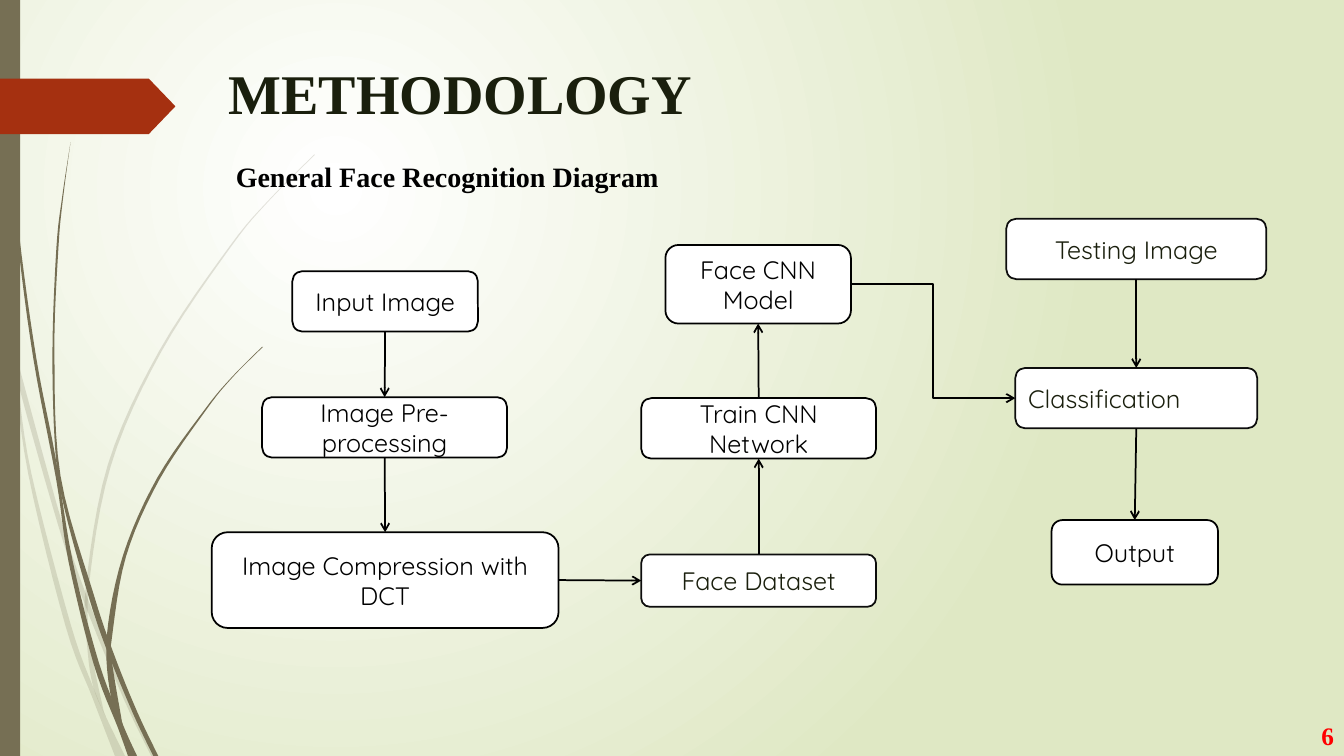
from dataclasses import dataclass

from lxml.etree import SubElement
from pptx import Presentation
from pptx.dml.color import RGBColor
from pptx.enum.shapes import MSO_CONNECTOR as CONN, MSO_SHAPE as SHAPE
from pptx.enum.text import MSO_ANCHOR as ANCHOR, PP_ALIGN as ALIGN
from pptx.oxml.ns import qn
from pptx.util import Inches, Pt


@dataclass(frozen=True)
class Theme:
    """Colours, fonts and sizes of the slide."""
    white: str = "FFFFFF"
    pale: str = "DFE8C4"
    olive: str = "766F54"
    rust: str = "A53010"
    black: str = "000000"
    soft: str = "0D0D0D"
    ink: str = "1A1F0D"
    red: str = "FF0000"
    serif: str = "Times New Roman"
    sans: str = "Quicksand"
    title: int = 40
    heading: int = 20
    body: int = 18
    line: float = 1.25


TOP, LEFT, BOTTOM, RIGHT = range(4)  # connection sites of a box

# Each grass blade: outer edge going down, inner edge coming back up.
LIGHT_BLADES = [
    ([(0, 2.99), (0.11, 3.5), (0.28, 4.7), (0.65, 6.21), (0.92, 6.93), (1.14, 7.5)],
     [(1.24, 7.5), (1.05, 7.11), (0.93, 6.83), (0.7, 6.19), (0.31, 4.69),
      (0.17, 3.76), (0.09, 3.22), (0, 2.82)]),
    ([(0.14, 3.45), (0.17, 3.76), (0.58, 5.22), (0.84, 5.99), (1.23, 6.94), (1.5, 7.5)],
     [(1.55, 7.5), (1.27, 6.92), (0.92, 6.07), (0.62, 5.2), (0.14, 3.45)]),
    ([(3.12, 1.53), (2.68, 1.97), (2.28, 2.44), (1.58, 3.48), (1.07, 4.61),
      (0.85, 5.84), (0.87, 6.46), (0.93, 6.83), (1.05, 7.11)],
     [(1.03, 7.06), (0.91, 6.46), (0.88, 5.84), (1.1, 4.62), (1.6, 3.49),
      (2.29, 2.45), (2.68, 1.98), (3.12, 1.54)]),
]
DARK_BLADES = [
    ([(0.03, 0), (0.07, 1.1), (0.17, 2.33), (0.33, 3.55), (0.56, 4.77),
      (0.68, 5.57), (0.93, 6.59), (1.17, 7.22), (1.27, 7.5)],
     [(1.36, 7.5), (1.22, 7.19), (0.98, 6.57), (0.72, 5.56), (0.55, 4.53),
      (0.36, 3.55), (0.19, 2.32), (0.08, 1.09), (0.04, 0)]),
    ([(0.7, 1.41), (0.62, 1.93), (0.56, 2.45), (0.52, 3.49), (0.55, 4.49),
      (0.64, 5.05), (0.88, 5.92), (1.06, 6.45), (1.32, 7.08), (1.52, 7.5)],
     [(1.57, 7.5), (1.36, 7.06), (1.13, 6.49), (0.93, 5.9), (0.6, 4.72),
      (0.54, 3.49), (0.58, 2.45), (0.63, 1.93), (0.7, 1.41)]),
    ([(2.6, 3.44), (2.31, 3.73), (2.04, 4.05), (1.56, 4.74), (1.22, 5.51),
      (1.06, 6.31), (1.1, 6.91), (1.22, 7.19)],
     [(1.21, 7.16), (1.11, 6.56), (1.11, 6.33), (1.25, 5.52), (1.58, 4.76),
      (2.05, 4.06), (2.31, 3.74), (2.61, 3.44)]),
]


def smooth(points, steps=6):
    """Return a Catmull-Rom curve through the points."""
    padded = [points[0], *points, points[-1]]
    curve = [points[0]]
    for quad in zip(padded, padded[1:], padded[2:], padded[3:]):
        for t in (i / steps for i in range(1, steps + 1)):
            curve.append(tuple(
                b + t * (c - a + t * (2*a - 5*b + 4*c - d + t * (3*b - a - 3*c + d))) / 2
                for a, b, c, d in zip(*quad)))
    return curve


class Deck:
    """The theme, the current slide and the kinds of element on it."""

    def __init__(self, prs, theme):
        """Add a blank slide."""
        self.th = theme
        self.s = prs.slides.add_slide(prs.slide_layouts[6])

    def background(self, inner, outer):
        """Fill the slide with a radial gradient."""
        fill = self.s.background.fill
        fill.gradient()
        for stop, color in zip(fill.gradient_stops, (inner, outer)):
            stop.color.rgb = RGBColor.from_string(color)
        grad = self.s.element.find(".//" + qn("a:gradFill"))
        grad.remove(grad.find(qn("a:lin")))
        radial = SubElement(grad, qn("a:path"), path="circle")
        SubElement(radial, qn("a:fillToRect"), l="50000", t="50000", r="100000", b="100000")

    def paint(self, sp, fill, line=None):
        """Set fill and outline, and drop the shadow."""
        sp.shadow.inherit = False
        sp.fill.solid()
        sp.fill.fore_color.rgb = RGBColor.from_string(fill)
        if line:
            sp.line.color.rgb = RGBColor.from_string(line)
            sp.line.width = Pt(self.th.line)
        else:
            sp.line.fill.background()

    def shape(self, kind, box, fill, line=None):
        """Add a preset shape."""
        sp = self.s.shapes.add_shape(kind, *map(Inches, box))
        self.paint(sp, fill, line)
        return sp

    def blade(self, down, up, alpha=None):
        """Add a curved grass blade, with opacity in percent."""
        start, *rest = [(Inches(x), Inches(y)) for x, y in smooth(down) + smooth(up)]
        fb = self.s.shapes.build_freeform(*start)
        fb.add_line_segments(rest)
        sp = fb.convert_to_shape()
        self.paint(sp, self.th.olive)
        if alpha:
            color = sp.element.spPr.find(qn("a:solidFill"))[0]
            SubElement(color, qn("a:alpha"), val=str(alpha * 1000))

    def add_text(self, sp, text, font, size, color, align, bold=False, anchor=ANCHOR.MIDDLE):
        """Put one paragraph into a shape."""
        tf = sp.text_frame
        tf.word_wrap = True
        tf.vertical_anchor = anchor
        p = tf.paragraphs[0]
        p.alignment = align
        r = p.add_run()
        r.text = text
        r.font.name, r.font.size, r.font.bold = font, Pt(size), bold
        r.font.color.rgb = RGBColor.from_string(color)
        return p

    def label(self, box, text, size, color, align=ALIGN.LEFT, anchor=ANCHOR.TOP):
        """Add a bold serif text box."""
        sp = self.s.shapes.add_textbox(*map(Inches, box))
        return self.add_text(sp, text, self.th.serif, size, color, align, True, anchor)

    def node(self, text, box, soft=False, align=ALIGN.CENTER):
        """Add a rounded box of the flow chart."""
        th = self.th
        line, ink = (th.soft, th.ink) if soft else (th.black, th.black)
        sp = self.shape(SHAPE.ROUNDED_RECTANGLE, box, th.white, line)
        self.add_text(sp, text, th.sans, th.body, ink, align)
        return sp

    def arrow(self, source, out, target, into, kind=CONN.STRAIGHT):
        """Join two boxes with an arrow."""
        c = self.s.shapes.add_connector(kind, 0, 0, 0, 0)
        c.begin_connect(source, out)
        c.end_connect(target, into)
        c.line.color.rgb = RGBColor.from_string(self.th.black)
        c.line.width = Pt(self.th.line)
        spPr = c.element.spPr
        SubElement(spPr.find(qn("a:ln")), qn("a:tailEnd"), type="arrow")
        SubElement(spPr, qn("a:effectLst"))


def main():
    """Build the methodology slide."""
    prs = Presentation()
    prs.slide_width, prs.slide_height = Inches(13.33), Inches(7.5)
    th = Theme()
    d = Deck(prs, th)

    d.background(th.white, th.pale)
    for down, up in LIGHT_BLADES:
        d.blade(down, up, alpha=20)
    for down, up in DARK_BLADES:
        d.blade(down, up)
    d.shape(SHAPE.RECTANGLE, (0, 0, 0.2, 7.5), th.olive)
    tag = d.shape(SHAPE.PENTAGON, (0, 0.78, 1.74, 0.55), th.rust)
    tag.adjustments[0] = 0.48

    d.label((12.48, 7.1, 0.85, 0.4), "6", th.body, th.red, ALIGN.RIGHT, ANCHOR.MIDDLE)
    title = d.label((2.17, 0.53, 6.93, 0.88), "METHODOLOGY", th.title, th.ink)
    title.space_before = Pt(10)
    d.label((2.24, 1.53, 8.67, 0.44), "General Face Recognition Diagram", th.heading, th.black)

    source = d.node("Input Image", (2.9, 2.69, 1.84, 0.6))
    prep = d.node("Image Pre-processing", (2.6, 3.94, 2.43, 0.6))
    dct = d.node("Image Compression with DCT", (2.1, 5.28, 3.44, 0.95))
    dataset = d.node("Face Dataset", (6.36, 5.5, 2.33, 0.52), soft=True)
    train = d.node("Train CNN Network", (6.36, 3.95, 2.33, 0.6))
    model = d.node("Face CNN Model", (6.6, 2.43, 1.84, 0.78))
    testing = d.node("Testing Image", (9.98, 2.17, 2.58, 0.6), soft=True)
    classify = d.node("Classification", (10.07, 3.65, 2.4, 0.6), soft=True, align=ALIGN.LEFT)
    output = d.node("Output", (10.43, 5.16, 1.65, 0.64))

    for upper, lower in ((source, prep), (prep, dct), (testing, classify), (classify, output)):
        d.arrow(upper, BOTTOM, lower, TOP)
    for lower, upper in ((dataset, train), (train, model)):
        d.arrow(lower, TOP, upper, BOTTOM)
    d.arrow(dct, RIGHT, dataset, LEFT)
    d.arrow(model, RIGHT, classify, LEFT, CONN.ELBOW)

    prs.save("out.pptx")


main()
